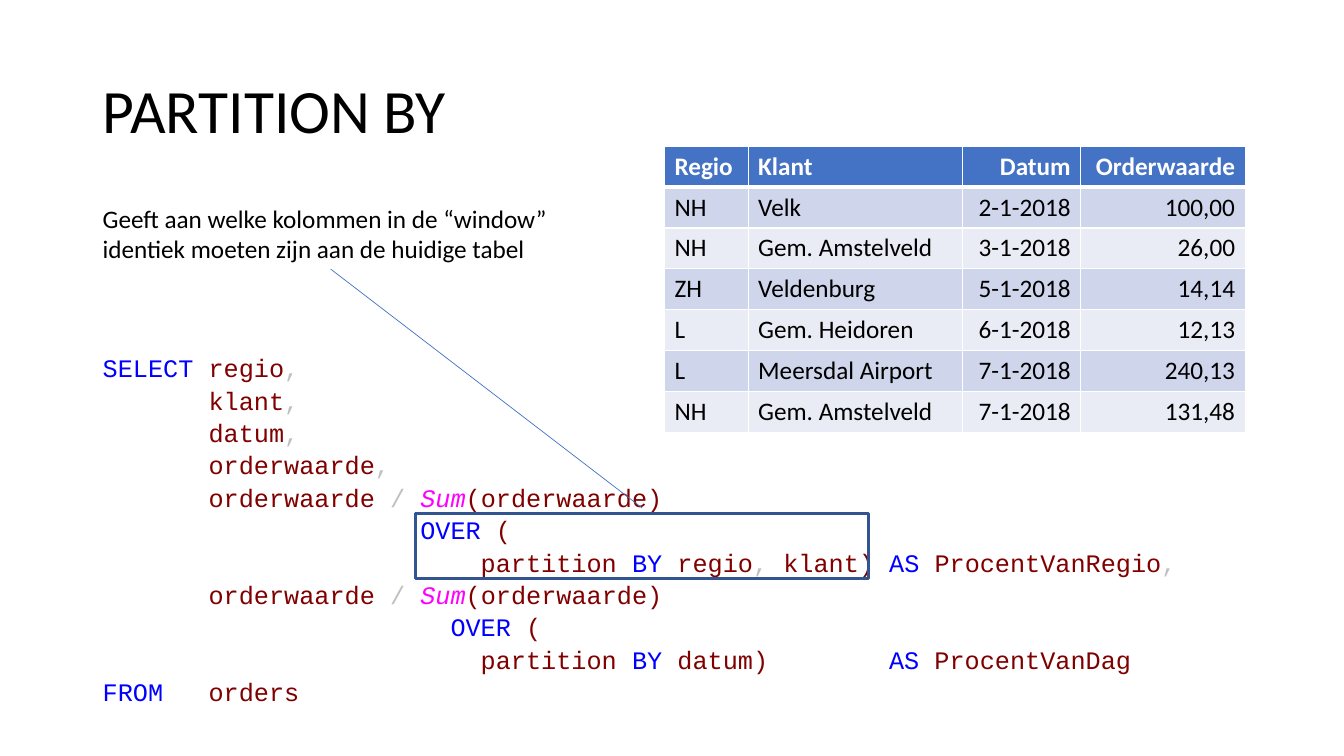
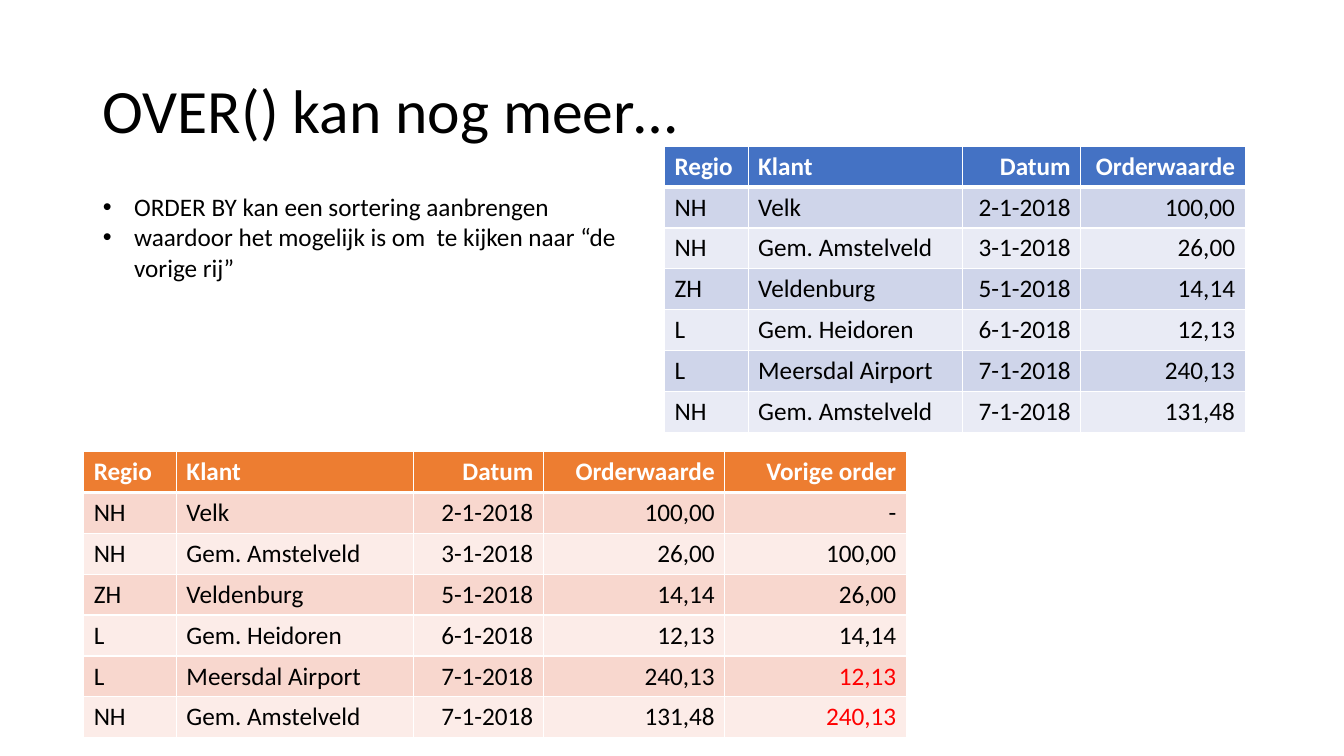
from lxml import etree
from pptx import Presentation
from pptx import util as u
from pptx.dml.color import RGBColor
from pptx.enum import shapes, text
from pptx.oxml import ns

COLORS = {
    "black": "000000", "white": "FFFFFF", "red": "FF0000",
    "keyword": "0000FF", "name": "800000", "sign": "C0C0C0", "function": "FF00FF",
    "frame": "325491", "blue": "4472C4", "orange": "ED7D31",
    "blue_dark": "CFD5EA", "blue_light": "E9EBF5",
    "orange_dark": "F8D7CE", "orange_light": "FCECE8",
}
CODE_CHAR = 0.15
TABLE_HEIGHT = 2.84


def apply(target, values):
    for name, value in values.items():
        setattr(target, name, value)


def color(name):
    return RGBColor.from_string(COLORS[name])


def inches(lengths):
    return [u.Inches(length) for length in lengths]


def add_xml(parent, tag, **attributes):
    return etree.SubElement(parent, ns.qn(tag), attributes)


class SlideStyle:
    title = {"size": u.Pt(44), "name": "Calibri"}
    plain = {"size": u.Pt(18), "name": "Calibri"}
    header = {**plain, "bold": True}
    code = {"size": u.Pt(18), "name": "Courier New"}

    def __init__(self, deck):
        self.deck = deck
        self.page = None

    def new_page(self, layout, heading):
        self.page = self.deck.slides.add_slide(self.deck.slide_layouts[layout])
        box = self.page.shapes.title
        self.place(box, (0.92, 0.4, 11.5, 1.45))
        apply(box.text_frame, {"vertical_anchor": text.MSO_ANCHOR.MIDDLE,
                               "auto_size": text.MSO_AUTO_SIZE.NONE})
        para = box.text_frame.paragraphs[0]
        apply(para, {"alignment": text.PP_ALIGN.LEFT, "line_spacing": 0.9})
        self.span(para, heading, self.title)

    def place(self, box, area):
        apply(box, dict(zip(("left", "top", "width", "height"), inches(area))))

    def span(self, para, words, font, tint="black"):
        span = para.add_run()
        span.text = words
        apply(span.font, font)
        span.font.color.rgb = color(tint)
        return span

    def paragraphs(self, frame, count):
        for _ in range(count - 1):
            frame.add_paragraph()
        return frame.paragraphs

    def text_box(self, area):
        box = self.page.shapes.add_textbox(*inches(area))
        box.text_frame.word_wrap = True
        return box.text_frame

    def note(self, area, lines):
        for para, line in zip(self.paragraphs(self.text_box(area), len(lines)), lines):
            self.span(para, line, self.plain)

    def bullets(self, area, lines):
        box = self.page.placeholders[1]
        self.place(box, area)
        box.text_frame.auto_size = text.MSO_AUTO_SIZE.NONE
        for para, line in zip(self.paragraphs(box.text_frame, len(lines)), lines):
            apply(para, {"space_before": u.Pt(0), "space_after": u.Pt(0)})
            properties = para._p.get_or_add_pPr()
            properties.set("marL", str(u.Inches(0.31)))
            properties.set("indent", str(u.Inches(-0.31)))
            add_xml(properties, "a:buFont", typeface="Arial")
            add_xml(properties, "a:buChar", char="•")
            self.span(para, line, self.plain)

    def code_block(self, area, lines):
        for para, (columns, spans) in zip(self.paragraphs(self.text_box(area), len(lines)), lines):
            para.line_spacing = 1.07
            tabs = add_xml(para._p.get_or_add_pPr(), "a:tabLst")
            for column in columns:
                add_xml(tabs, "a:tab", pos=str(u.Inches(column * CODE_CHAR)), algn="l")
            for tint, words in spans:
                self.span(para, words, self.code, tint).font.italic = tint == "function"

    def frame(self, area):
        box = self.page.shapes.add_shape(shapes.MSO_SHAPE.RECTANGLE, *inches(area))
        box.shadow.inherit = False
        box.fill.background()
        box.line.color.rgb = color("frame")
        box.line.width = u.Pt(2.25)

    def line(self, start, end):
        line = self.page.shapes.add_connector(
            shapes.MSO_CONNECTOR.STRAIGHT, *inches(start + end))
        line.line.color.rgb = color("blue")
        line.line.width = u.Pt(0.5)
        add_xml(line._element.spPr, "a:effectLst")

    def borders(self, cell, row):
        properties = cell._tc.get_or_add_tcPr()
        widths = {"L": 1, "R": 1, "T": 3 if row == 1 else 1, "B": 3 if row == 0 else 1}
        for side, width in widths.items():
            edge = add_xml(properties, f"a:ln{side}", w=str(u.Pt(width)))
            add_xml(add_xml(edge, "a:solidFill"), "a:srgbClr", val=COLORS["white"])

    def table(self, corner, widths, rows, theme, red_cells=()):
        area = (*corner, sum(widths), TABLE_HEIGHT)
        grid = self.page.shapes.add_table(len(rows), len(widths), *inches(area)).table
        for column, width in zip(grid.columns, widths):
            column.width = u.Inches(width)
        for r, row in enumerate(rows):
            fill = theme if r == 0 else f"{theme}_{'dark' if r % 2 else 'light'}"
            for c, words in enumerate(row):
                cell = grid.cell(r, c)
                self.borders(cell, r)
                cell.fill.solid()
                cell.fill.fore_color.rgb = color(fill)
                para = cell.text_frame.paragraphs[0]
                para.alignment = text.PP_ALIGN.RIGHT if c > 1 else text.PP_ALIGN.LEFT
                tint = "white" if r == 0 else "red" if (r, c) in red_cells else "black"
                self.span(para, words, self.plain if r else self.header, tint)


ORDERS = [
    ("Regio", "Klant", "Datum", "Orderwaarde"),
    ("NH", "Velk", "2-1-2018", "100,00"),
    ("NH", "Gem. Amstelveld", "3-1-2018", "26,00"),
    ("ZH", "Veldenburg", "5-1-2018", "14,14"),
    ("L", "Gem. Heidoren", "6-1-2018", "12,13"),
    ("L", "Meersdal Airport", "7-1-2018", "240,13"),
    ("NH", "Gem. Amstelveld", "7-1-2018", "131,48"),
]
PREVIOUS = ["Vorige order", "-"] + [order[-1] for order in ORDERS[1:-1]]
ORDERS_TABLE = ((6.59, 1.45), (0.83, 2.13, 1.17, 1.63), ORDERS, "blue")

COLUMN_LINES = [((7,), [("name", f"\t{column}"), ("sign", ",")])
                for column in ("klant", "datum", "orderwaarde")]
SHARE_LINE = ((7,), [("name", "\torderwaarde "), ("sign", "/ "),
                     ("function", "Sum"), ("name", "(orderwaarde)")])
QUERY = [
    ((7,), [("keyword", "SELECT\t"), ("name", "regio"), ("sign", ",")]),
    *COLUMN_LINES,
    SHARE_LINE,
    ((21,), [("keyword", "\tOVER "), ("name", "(")]),
    ((25,), [("name", "\tpartition "), ("keyword", "BY "), ("name", "regio"),
             ("sign", ", "), ("name", "klant) "), ("keyword", "AS "),
             ("name", "ProcentVanRegio"), ("sign", ",")]),
    SHARE_LINE,
    ((23,), [("keyword", "\tOVER "), ("name", "(")]),
    ((25, 52), [("name", "\tpartition "), ("keyword", "BY "), ("name", "datum)\t"),
                ("keyword", "AS "), ("name", "ProcentVanDag")]),
    ((7,), [("keyword", "FROM\t"), ("name", "orders")]),
]

deck = Presentation()
deck.slide_width, deck.slide_height = inches((13.33, 7.5))
slides = SlideStyle(deck)

slides.new_page(5, "PARTITION BY")
slides.table(*ORDERS_TABLE)
slides.code_block((0.92, 3.43, 11.94, 3.66), QUERY)
slides.frame((4.12, 5.09, 4.49, 0.65))
slides.note((0.92, 1.97, 4.73, 0.71), [
    "Geeft aan welke kolommen in de “window”",
    "identiek moeten zijn aan de huidige tabel",
])
slides.line((3.28, 2.67), (6.37, 5.04))

slides.new_page(1, "OVER() kan nog meer…")
slides.table(*ORDERS_TABLE)
slides.table((0.83, 4.48), (0.92, 2.35, 1.29, 1.8, 1.8),
             [(*order, value) for order, value in zip(ORDERS, PREVIOUS)],
             "orange", red_cells={(5, 4), (6, 4)})
slides.bullets((0.92, 1.85, 5.84, 1.01), [
    "ORDER BY kan een sortering aanbrengen",
    "waardoor het mogelijk is om  te kijken naar “de vorige rij”",
])

deck.save("out.pptx")
